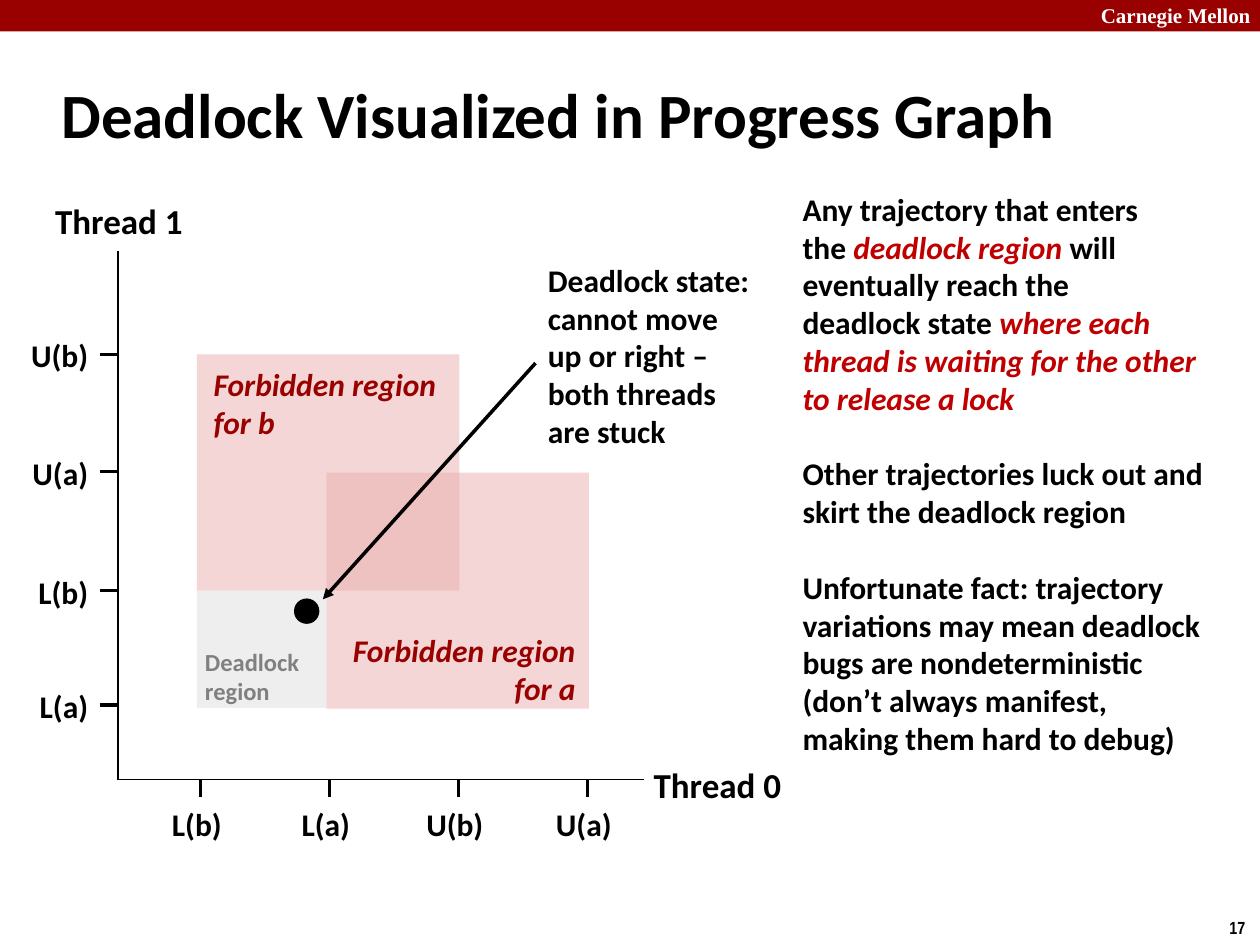
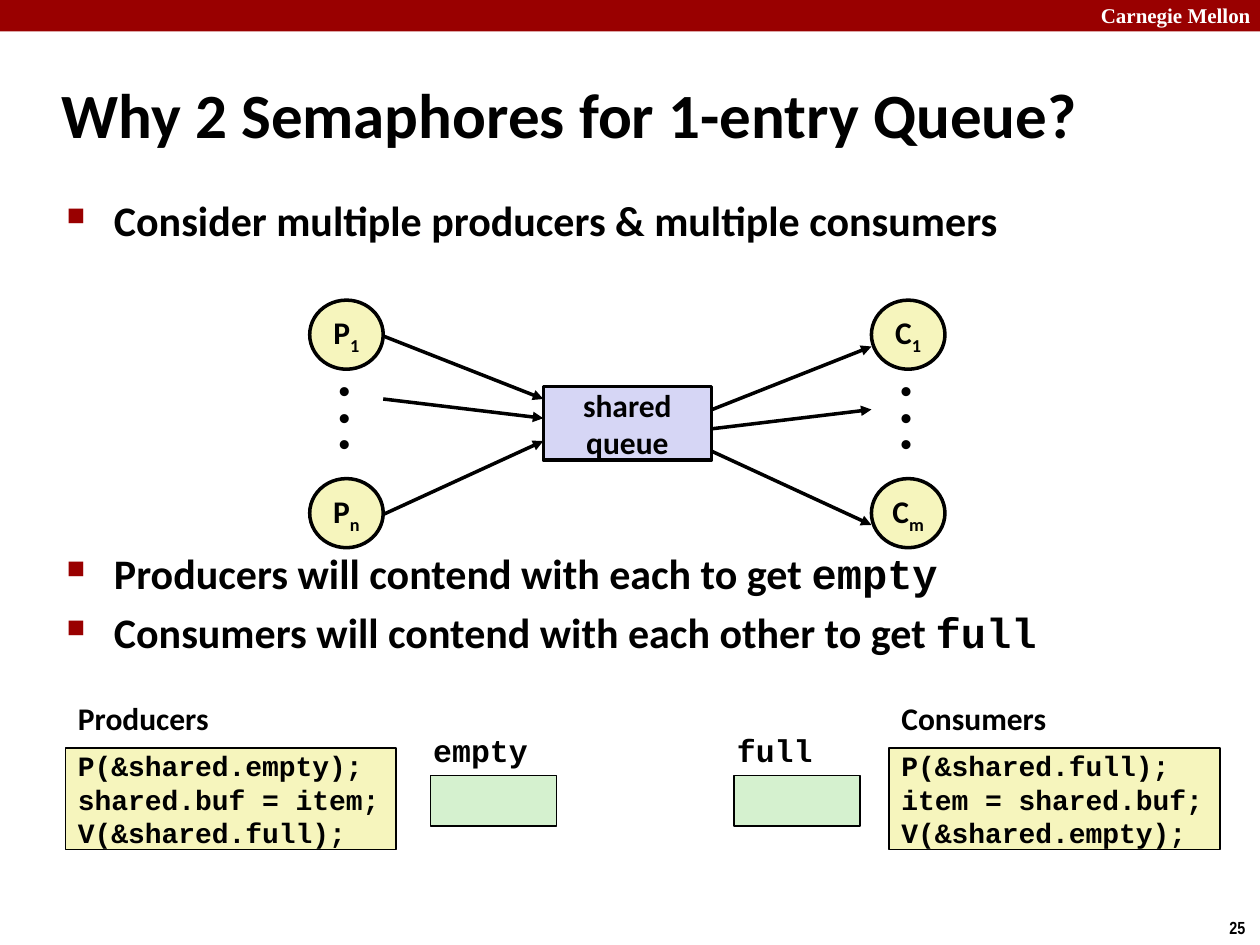
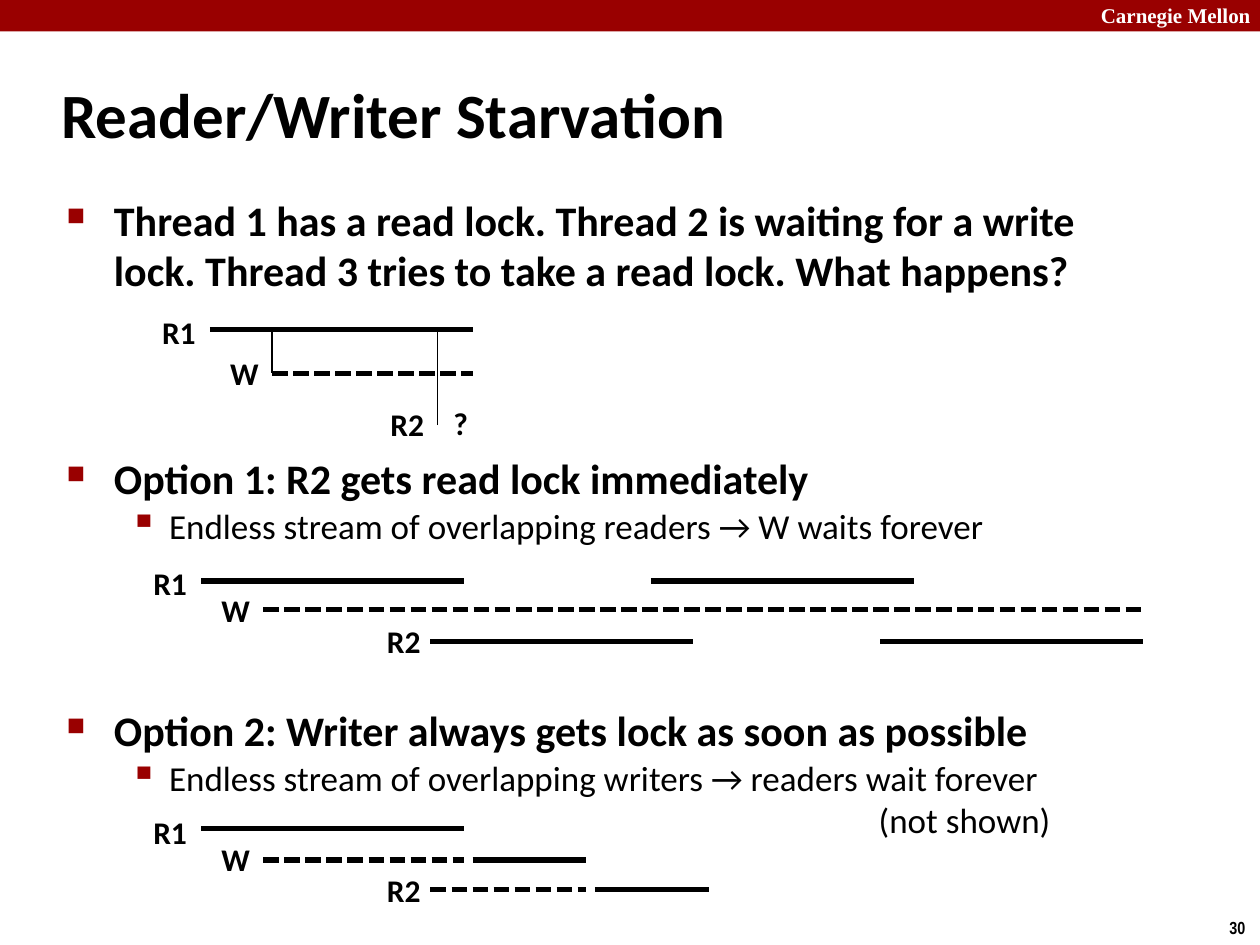
from lxml.etree import SubElement
from pptx import Presentation
from pptx.dml.color import RGBColor
from pptx.enum.dml import MSO_LINE
from pptx.enum.shapes import MSO_CONNECTOR, MSO_SHAPE
from pptx.enum.text import MSO_ANCHOR, MSO_AUTO_SIZE, PP_ALIGN
from pptx.oxml.ns import qn
from pptx.util import Pt

HUES = {
    "black": "000000", "white": "FFFFFF", "band": "990000", "red": "C00000",
    "pink": "EBAFAF", "light": "CCCCCC", "gray": "808080",
    "cream": "F6F5BD", "lilac": "D6D6F5", "green": "D5F1CF",
}
CODE = {"font": "Courier New"}
SUB = {"base": -25000}
# left indent, hang, size, bold, bullet, bullet size
LEVELS = [
    (27, -27, 24, True, "■", 60),
    (58.5, -22.5, 20, False, "▪", 110),
    (464, 0, 20, False, None, None),
]
MID, TOP = MSO_ANCHOR.MIDDLE, MSO_ANCHOR.TOP


def hue(name):
    return RGBColor.from_string(HUES[name])


# Text: parts between bars take the extra format in mark
def style(run, size, font, color, bold, italic=False, base=None):
    run.font.size, run.font.name = Pt(size), font
    run.font.bold, run.font.italic = bold, italic
    run.font.color.rgb = hue(color)
    if base:
        run.font._element.set("baseline", str(base))


def write(shape, texts, size=18, font="Calibri", color="black", bold=True,
          italic=False, align=PP_ALIGN.LEFT, anchor=TOP, wrap=False, pad=3.6,
          mark=None):
    look = dict(size=size, font=font, color=color, bold=bold, italic=italic)
    frame = shape.text_frame
    frame.word_wrap, frame.vertical_anchor = wrap, anchor
    frame.margin_top = frame.margin_bottom = Pt(pad)
    frame.text = "\n".join(texts)
    for para in frame.paragraphs:
        para.alignment = align
        parts = para.text.split("|")
        if len(parts) > 1:
            para.text = parts[0]
            for part in parts[1:]:
                para.add_run().text = part
            for run in para.runs[1::2]:
                style(run, **{**look, **mark})
            plain = para.runs[::2]
        else:
            plain = para.runs
        for run in plain:
            style(run, **look)
    return frame.paragraphs


def label(slide, x, y, w, h, *texts, **look):
    box = slide.shapes.add_textbox(Pt(x), Pt(y), Pt(w), Pt(h))
    paras = write(box, texts, **look)
    if not look.get("wrap"):
        box.text_frame.auto_size = MSO_AUTO_SIZE.SHAPE_TO_FIT_TEXT
    return paras


def block(slide, kind, x, y, w, h, fill, edge=None, clear=None):
    shape = slide.shapes.add_shape(kind, Pt(x), Pt(y), Pt(w), Pt(h))
    shape.shadow.inherit = False
    shape.fill.solid()
    shape.fill.fore_color.rgb = hue(fill)
    if clear:
        tint = shape.fill._xPr.find(qn("a:solidFill"))[0]
        SubElement(tint, qn("a:alpha")).set("val", str(clear * 1000))
    if edge:
        shape.line.color.rgb = hue("black")
        shape.line.width = Pt(edge)
    else:
        shape.line.fill.background()
    return shape


def line(slide, x1, y1, x2, y2, width=2, dash=False, arrow=False):
    link = slide.shapes.add_connector(
        MSO_CONNECTOR.STRAIGHT, Pt(x1), Pt(y1), Pt(x2), Pt(y2))
    link.line.color.rgb = hue("black")
    link.line.width = Pt(width)
    if dash:
        link.line.dash_style = MSO_LINE.SQUARE_DOT
    if arrow:
        SubElement(link.line._ln, qn("a:tailEnd")).set("type", "triangle")
    SubElement(link._element.spPr, qn("a:effectLst"))


# Bulleted body: items are (level, space before, text)
def body(slide, h, items, mark=None):
    paras = label(slide, 31, 107.5, 622, h, *[text for _, _, text in items],
                  size=24, wrap=True, mark=mark)
    for para, (level, gap, _) in zip(paras, items):
        left, hang, size, bold, sign, scale = LEVELS[level]
        para.space_before = Pt(gap)
        props = para._p.get_or_add_pPr()
        props.set("marL", str(Pt(left)))
        props.set("indent", str(Pt(hang)))
        if sign:
            tint = SubElement(props, qn("a:buClr"))
            SubElement(tint, qn("a:srgbClr")).set("val", HUES["band"])
            SubElement(props, qn("a:buSzPct")).set("val", str(scale * 1000))
            SubElement(props, qn("a:buChar")).set("char", sign)
        for run in para.runs:
            run.font.size, run.font.bold = Pt(size), bold


# Shared band, title and page number
def start(deck, title, page):
    slide = deck.slides.add_slide(deck.slide_layouts[6])
    block(slide, MSO_SHAPE.RECTANGLE, 0, 0, 720, 18, "band")
    label(slide, 622, -2, 103, 21.5, "Carnegie Mellon", size=12,
          font="Times New Roman", color="white", wrap=True)
    label(slide, 695.5, 520.5, 24.5, 19.5, page, size=10, font="Arial Narrow")
    label(slide, 28, 34.5, 598, 60, title, size=36, anchor=MID, wrap=True)
    return slide


def graph(deck):
    slide = start(deck, "Deadlock Visualized in Progress Graph", "17")
    block(slide, MSO_SHAPE.RECTANGLE, 112.5, 337.5, 74, 67, "light", clear=32)
    paras = label(
        slide, 451.5, 108.5, 245, 327,
        "Any trajectory that enters", "the |deadlock region |will",
        "eventually reach the",
        "|deadlock state |where each thread is waiting for the other "
        "to release a lock",
        "Other trajectories luck out and skirt the deadlock region",
        "Unfortunate fact: trajectory variations may mean deadlock bugs are "
        "nondeterministic\v(don’t always manifest, making them hard to debug)",
        wrap=True, pad=0, mark={"color": "red", "italic": True})
    for para in paras[4:]:
        para.space_before = Pt(21.6)

    # Axes with ticks
    line(slide, 67.5, 445.5, 368, 445.5, 1)
    line(slide, 67.5, 445.5, 67.5, 143.5, 1)
    for name, x, y in [("Thread 0", 366, 432.5), ("Thread 1", 24, 110)]:
        label(slide, x, y, 88, 32, name, size=20, anchor=MID,
              align=PP_ALIGN.CENTER)
    for i, name in enumerate(["L(b)", "L(a)", "U(b)", "U(a)"]):
        x = 114.5 + 73.7 * i
        line(slide, x, 445.5, x, 455.5)
        label(slide, x - 26, 456, 48, 29, name, anchor=MID,
              align=PP_ALIGN.CENTER)
    for name, y in [("U(b)", 202.5), ("U(a)", 269.5),
                    ("L(b)", 337.5), ("L(a)", 403)]:
        line(slide, 57, y, 67, y)
        label(slide, 10, y - 14, 47.5, 29, name, anchor=MID,
              align=PP_ALIGN.RIGHT)

    # Regions and the deadlock state
    for x, y in [(112.5, 202.5), (186.5, 270)]:
        block(slide, MSO_SHAPE.RECTANGLE, x, y, 150, 135, "pink", clear=50)
    for x, y, name, side in [(115, 205, "for b", PP_ALIGN.LEFT),
                             (188, 357, "for a", PP_ALIGN.RIGHT)]:
        label(slide, x, y, 148, 51, "Forbidden region", name, color="band",
              italic=True, align=side)
    block(slide, MSO_SHAPE.OVAL, 168, 342, 14.5, 14.5, "black")
    label(slide, 306, 148.5, 130, 109, "Deadlock state: cannot move up or "
          "right – both threads are stuck", anchor=MID, wrap=True, pad=0)
    line(slide, 306, 207.5, 184.5, 342.5, arrow=True)
    label(slide, 110, 369.5, 69, 34, "Deadlock", "region", size=14,
          color="gray", anchor=MID, pad=0)


def queue(deck):
    slide = start(deck, "Why 2 Semaphores for 1-entry Queue?", "25")
    body(slide, 78.5, [
        (0, 0, "Consider multiple producers & multiple consumers"),
        (0, 173, "Producers will contend with each to get |empty"),
        (0, 4.8, "Consumers will contend with each other to get |full"),
    ], CODE)

    # Producers, queue and consumers
    store = block(slide, MSO_SHAPE.RECTANGLE, 310.5, 221, 96, 42, "lilac", 2)
    write(store, ["shared", "queue"], anchor=MID, align=PP_ALIGN.CENTER, pad=0)
    for x, names in [(177, ("P|1", "P|n")), (498, ("C|1", "C|m"))]:
        for y, name in zip((171.5, 273.5), names):
            node = block(slide, MSO_SHAPE.OVAL, x, y, 42, 39.5, "cream", 2)
            write(node, [name], anchor=MID, align=PP_ALIGN.CENTER, pad=0,
                  mark=SUB)
        for para in label(slide, x + 9.5, 214.5, 23, 54, "•", "•", "•",
                          font="Arial"):
            para.line_spacing = 0.7
    for y1, y2 in [(192, 228), (228, 239), (294, 252)]:
        line(slide, 219, y1, 310.5, y2, arrow=True)
    for y1, y2 in [(234, 198), (245, 234), (258, 300)]:
        line(slide, 407, y1, 498, y2, arrow=True)

    # Code on each side
    for x, name, code in [
        (37.5, "Producers",
         ["P(&shared.empty);", "shared.buf = item;", "V(&shared.full);"]),
        (508, "Consumers",
         ["P(&shared.full);", "item = shared.buf;", "V(&shared.empty);"]),
    ]:
        box = block(slide, MSO_SHAPE.RECTANGLE, x, 427.5, 189, 58, "cream", 1)
        write(box, code, size=16, anchor=MID, pad=0, **CODE)
        label(slide, x, 396, 99 if x > 360 else 91, 29, name)

    # Semaphore boxes
    for x, w, name in [(246, 69, "empty"), (419.5, 58, "full")]:
        block(slide, MSO_SHAPE.RECTANGLE, x, 443, 72, 29, "green", 0.75)
        label(slide, x - 5.5, 414, w, 29, name, **CODE)


def starve(deck):
    slide = start(deck, "Reader/Writer Starvation", "30")
    body(slide, 420.5, [
        (0, 0, "Thread 1 has a read lock. Thread 2 is waiting for a write "
         "lock. Thread 3 tries to take a read lock. What happens?"),
        (0, 90, "Option 1: R2 gets read lock immediately"),
        (1, 1, "Endless stream of overlapping readers → W waits forever"),
        (0, 90, "Option 2: Writer always gets lock as soon as possible"),
        (1, 1, "Endless stream of overlapping writers → readers wait forever"),
        (2, 0, "(not shown)"),
    ])

    # Names of the threads
    for name, x, y, w in [
        ("R1", 85.5, 175.5, 34), ("W", 124.5, 198.5, 31),
        ("R2", 216, 228, 34), ("?", 252, 227.5, 23),
        ("R1", 80.5, 319, 34), ("W", 119.5, 334, 31), ("R2", 214, 352, 34),
        ("R1", 80.5, 461, 34), ("W", 119.5, 476.5, 31), ("R2", 214, 494, 34),
    ]:
        label(slide, x, y, w, 29, name)

    # Locks held
    for x1, x2, y in [
        (120, 270, 188.5), (115, 265, 332), (372, 522, 332),
        (246, 396, 366.5), (503, 653, 366.5), (115, 265, 473.5),
        (270, 335, 491.5), (340, 405, 508.5),
    ]:
        line(slide, x1, y, x2, y, 3)
    # Waits
    for x1, x2, y in [(155.5, 270, 213.5), (150.5, 653, 348.5),
                      (150.5, 265, 491.5), (246, 335, 508.5)]:
        line(slide, x1, y, x2, y, 3, dash=True)
    # Arrival times
    for x, y in [(155.5, 213), (250, 243)]:
        line(slide, x, y, x, 190, 1)


def main():
    deck = Presentation()
    deck.slide_width, deck.slide_height = Pt(720), Pt(540)
    graph(deck)
    queue(deck)
    starve(deck)
    deck.save("out.pptx")


if __name__ == "__main__":
    main()
